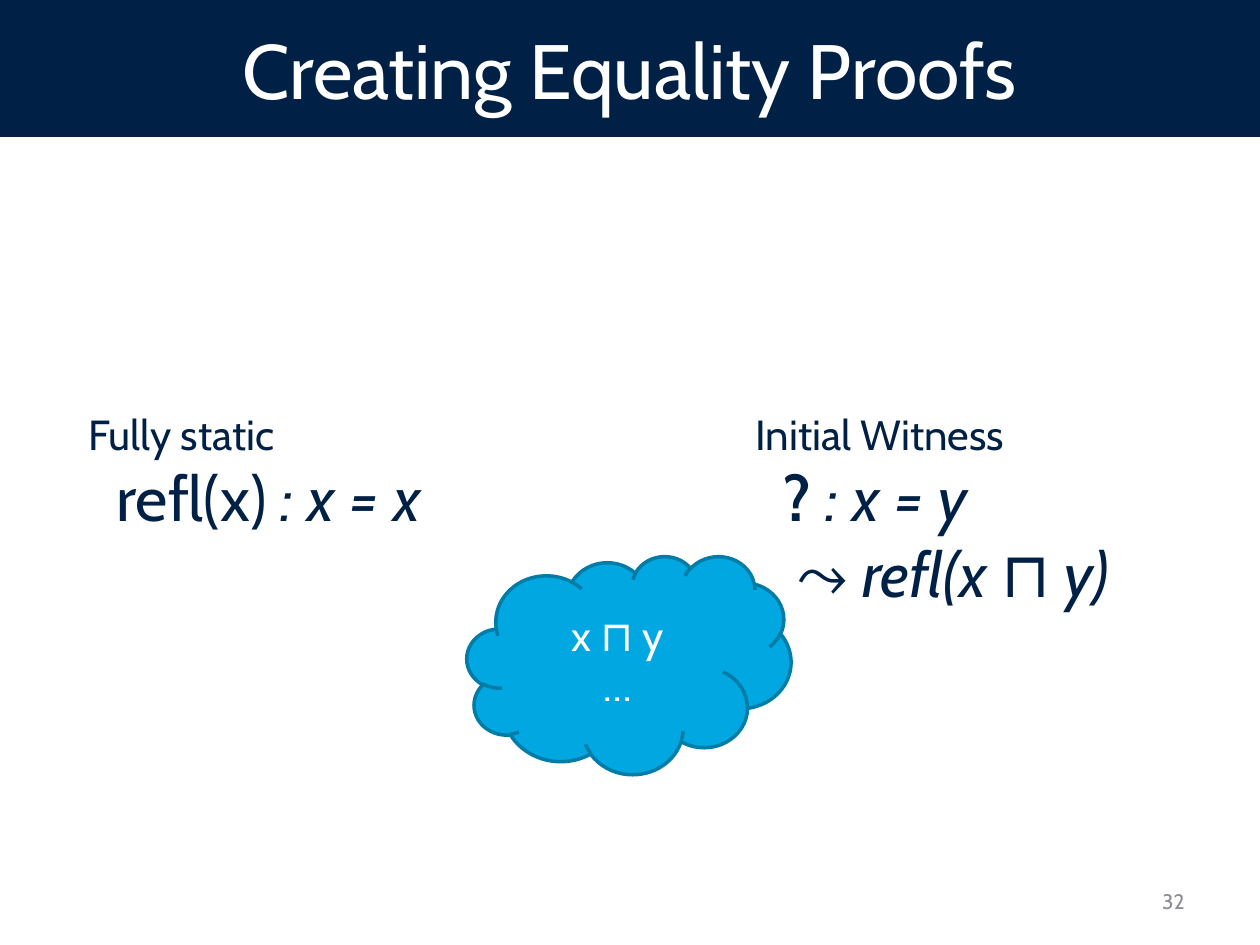
from pptx import Presentation
from pptx.dml.color import RGBColor
from pptx.enum.shapes import MSO_SHAPE
from pptx.enum.text import MSO_ANCHOR, PP_ALIGN
from pptx.util import Pt

CLOUD = MSO_SHAPE.CLOUD
MIDDLE = MSO_ANCHOR.MIDDLE
LEFT, CENTER, RIGHT = PP_ALIGN.LEFT, PP_ALIGN.CENTER, PP_ALIGN.RIGHT

FONT = "Cabin"
COLORS = {"navy": "002145", "white": "FFFFFF", "grey": "8C8D94",
          "sky": "00A7E1", "edge": "007CA6"}
PX = 914400 / 126

TITLE = "Creating Equality Proofs"
NUMBER = "32"
CLOUD_LINES = ["x ⊓ y", "…"]
PROOFS = [
    (76, 140, "Fully static", [
        (28, [("refl(x)", ""), (" : x = x", "i")]),
    ]),
    (743, 217, "Initial Witness", [
        (28, [("?", "b"), (" : x = y", "i")]),
        (42, [("⤳ ", ""), ("refl(x ", "i"), ("⊓", ""), (" y)", "i")]),
    ]),
]


def px(n):
    return round(n * PX)


def rgb(name):
    return RGBColor.from_string(COLORS[name])


def style(p, size, color, align=LEFT):
    p.alignment = align
    p.font.name = FONT
    p.font.size = Pt(size)
    p.font.color.rgb = rgb(color)


def add_text(s, x, y, w, h):
    tf = s.shapes.add_textbox(px(x), px(y), px(w), px(h)).text_frame
    tf.word_wrap = True
    return tf


def add_proof(s, x, h, heading, lines):
    tf = add_text(s, x, 402, 488, h)
    tf.text = heading
    style(tf.paragraphs[0], 24, "navy")
    for indent, runs in lines:
        p = tf.add_paragraph()
        p._p.get_or_add_pPr().set("marL", str(px(indent)))
        style(p, 36, "navy")
        for text, face in runs:
            r = p.add_run()
            r.text = text
            r.font.bold = face == "b"
            r.font.italic = face == "i"


def main():
    prs = Presentation()
    prs.slide_width, prs.slide_height = px(1260), px(945)
    s = prs.slides.add_slide(prs.slide_layouts[5])

    title = s.shapes.title
    title.left, title.top, title.width, title.height = 0, 0, px(1260), px(137)
    title.fill.solid()
    title.fill.fore_color.rgb = rgb("navy")
    title.text_frame.text = TITLE
    title.text_frame.vertical_anchor = MIDDLE
    style(title.text_frame.paragraphs[0], 44, "white", CENTER)

    for proof in PROOFS:
        add_proof(s, *proof)

    sp = s.shapes.add_shape(CLOUD, px(467), px(556), px(324), px(218))
    sp.shadow.inherit = False
    sp.fill.solid()
    sp.fill.fore_color.rgb = rgb("sky")
    sp.line.color.rgb = rgb("edge")
    sp.line.width = Pt(2)
    tf = sp.text_frame
    tf.vertical_anchor = MIDDLE
    tf.text = "\n".join(CLOUD_LINES)
    for p in tf.paragraphs:
        style(p, 24, "white", CENTER)

    tf = add_text(s, 903, 876, 294, 50)
    tf.vertical_anchor = MIDDLE
    tf.text = NUMBER
    style(tf.paragraphs[0], 12, "grey", RIGHT)

    prs.save("out.pptx")


if __name__ == "__main__":
    main()
